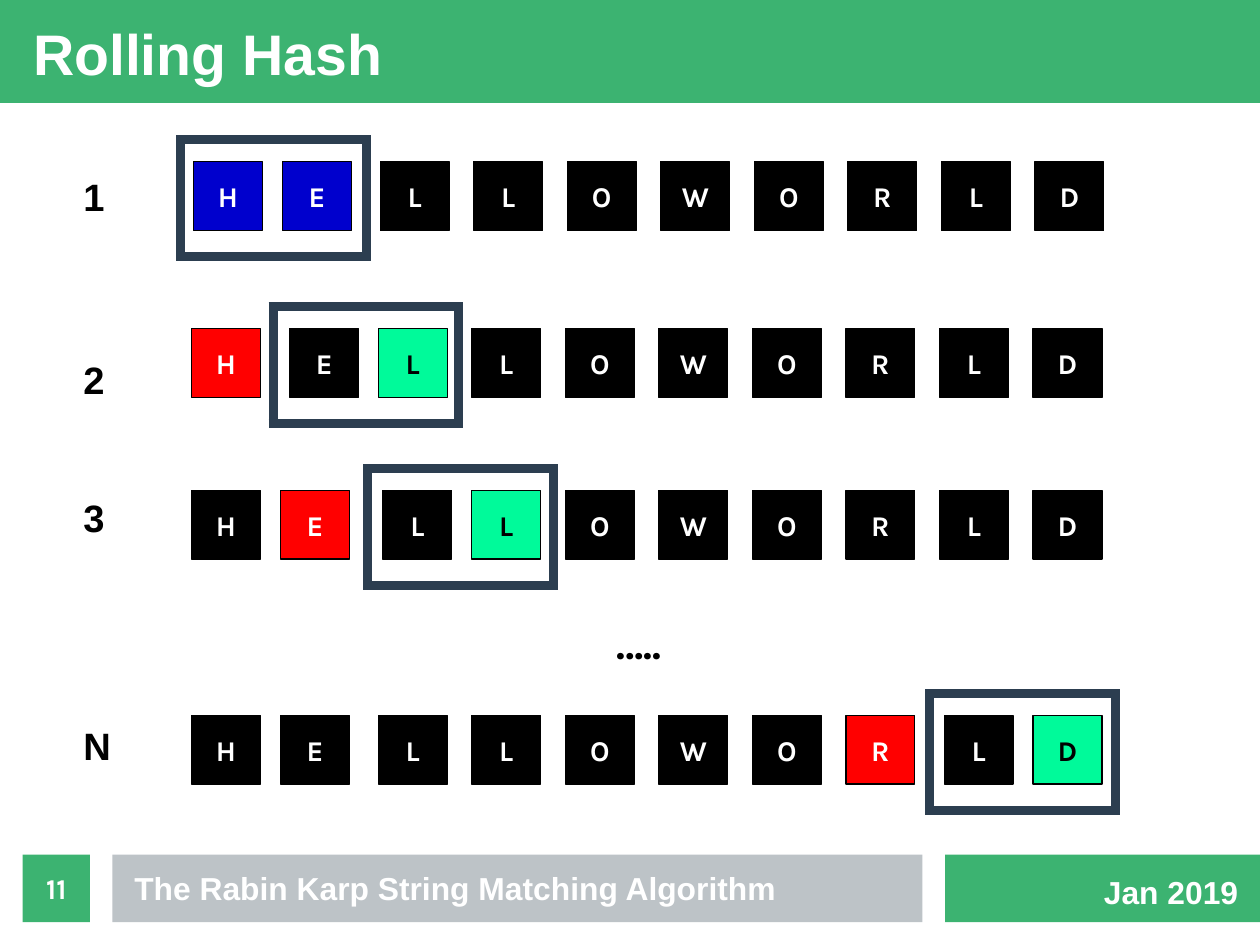
import pptx
import pptx.util
import pptx.dml.color
import pptx.enum.shapes
import pptx.enum.text
import pptx.oxml.ns
import lxml.etree

Pt = pptx.util.Pt
ALIGN = pptx.enum.text.PP_ALIGN
ANCHOR = pptx.enum.text.MSO_ANCHOR

# Content
TITLE = "Rolling Hash"
FOOTER = "The Rabin Karp String Matching Algorithm"
DATE = "Jan 2019"
PAGE = "11"
DOTS = "….."
WORD = "HELLOWORLD"
# Each step: coloured letters by index, nudged letters by index, window left edge
STEPS = [
    {"top": 102, "shift": 1.2, "colors": {0: "current", 1: "current"},
     "nudge": {}, "window": 111.2},
    {"top": 207, "shift": 0, "colors": {0: "dropped", 2: "added"},
     "nudge": {1: 5.8}, "window": 169.2},
    {"top": 308.8, "shift": 0, "colors": {1: "dropped", 3: "added"},
     "nudge": {2: 2.9}, "window": 228.8},
    {"top": 450.5, "shift": 0, "colors": {7: "dropped", 9: "added"},
     "nudge": {8: 2.9}, "window": 583},
]
# Row label and the space before it
LABELS = [("1", 0), ("2", 86.6), ("3", 58), ("N", 115)]

# Theme
THEME = {
    "green": "3CB371", "gray": "BDC3C7", "frame": "2C3E50",
    "white": "FFFFFF", "black": "000000",
    "current": "0000CD", "dropped": "FF0000", "added": "00FA9A",
    "heading": {"name": "Arial", "size": Pt(36), "bold": True},
    "footer": {"name": "Arial", "size": Pt(20), "bold": True},
    "label": {"name": "Arial", "size": Pt(24), "bold": True},
    "letter": {"name": "Karla", "size": Pt(18), "bold": True},
    "dots": {"name": "Karla", "size": Pt(26), "bold": True},
}

# Layout: the slide is 28 by 21 centimetres
SLIDE_WIDTH, SLIDE_HEIGHT = 793.7, 595.28
CELL = 43.4
FIRST_LEFTS = [120.6, 176.7]
GRID_LEFT, GRID_STEP = 238.3, 58.92
WINDOW_WIDTH, WINDOW_HEIGHT, WINDOW_RISE = 122.4, 73.7, 13.9
FRAME_WEIGHT = 5.67
FOOTER_TOP, FOOTER_HEIGHT = 538.4, 42.5


def color(name):
    return pptx.dml.color.RGBColor.from_string(THEME[name])


def set_attributes(target, values):
    for name, value in values.items():
        setattr(target, name, value)


def style_paragraph(paragraph, text, style, ink, alignment=ALIGN.LEFT):
    paragraph.text = text
    paragraph.alignment = alignment
    set_attributes(paragraph.font, THEME[style])
    paragraph.font.color.rgb = color(ink)


def set_frame(frame, anchor, wrap=True, insets=(7.2, 3.6)):
    side, edge = map(Pt, insets)
    set_attributes(frame, {
        "word_wrap": wrap, "vertical_anchor": anchor,
        "margin_left": side, "margin_right": side,
        "margin_top": edge, "margin_bottom": edge})


def add_box(slide, box, fill, line=None):
    shape = slide.shapes.add_shape(
        pptx.enum.shapes.MSO_SHAPE.RECTANGLE, *map(Pt, box))
    shape.shadow.inherit = False
    shape.fill.solid()
    shape.fill.fore_color.rgb = color(fill)
    if line:
        shape.line.color.rgb = color(line)
        shape.line.width = Pt(0)
    else:
        shape.line.fill.background()
    return shape


def add_text(slide, box, text, style, ink, alignment=ALIGN.LEFT):
    frame = slide.shapes.add_textbox(*map(Pt, box)).text_frame
    set_frame(frame, ANCHOR.TOP)
    style_paragraph(frame.paragraphs[0], text, style, ink, alignment)
    return frame


def add_edge(slide, ends):
    connector = slide.shapes.add_connector(
        pptx.enum.shapes.MSO_CONNECTOR.STRAIGHT, *map(Pt, ends))
    connector.line.color.rgb = color("frame")
    connector.line.width = Pt(FRAME_WEIGHT)
    lxml.etree.SubElement(connector.element.spPr, pptx.oxml.ns.qn("a:effectLst"))


def add_letters(slide, step):
    for index, letter in enumerate(WORD):
        if index < len(FIRST_LEFTS):
            left = FIRST_LEFTS[index]
        else:
            left = GRID_LEFT + (index - len(FIRST_LEFTS)) * GRID_STEP
        left += step["shift"] + step["nudge"].get(index, 0)
        fill = step["colors"].get(index, "black")
        shape = add_box(slide, (left, step["top"], CELL, CELL), fill, "black")
        set_frame(shape.text_frame, ANCHOR.MIDDLE, wrap=False)
        ink = "black" if fill == "added" else "white"
        style_paragraph(shape.text_frame.paragraphs[0], letter, "letter", ink,
                        ALIGN.CENTER)


def add_window(slide, step):
    left, top = step["window"], step["top"] - WINDOW_RISE
    right, bottom = left + WINDOW_WIDTH, top + WINDOW_HEIGHT
    half = FRAME_WEIGHT / 2
    for y in (top, bottom):
        add_edge(slide, (left, y, right, y))
    for x in (left + half, right - half):
        add_edge(slide, (x, top, x, bottom - half))


def main():
    presentation = pptx.Presentation()
    presentation.slide_width = Pt(SLIDE_WIDTH)
    presentation.slide_height = Pt(SLIDE_HEIGHT)
    slide = presentation.slides.add_slide(presentation.slide_layouts[5])

    # Title over its green band
    title = slide.shapes.title
    set_attributes(title, {"left": Pt(20.9), "top": Pt(11.5),
                           "width": Pt(771.8), "height": Pt(43.2)})
    set_frame(title.text_frame, ANCHOR.BOTTOM, insets=(0, 0))
    style_paragraph(title.text_frame.paragraphs[0], TITLE, "heading", "white")
    band = add_box(slide, (0, 0, SLIDE_WIDTH, 64.8), "green")
    title.element.addprevious(band.element)

    # Footer
    date_left = 595.3
    add_box(slide, (date_left, FOOTER_TOP, SLIDE_WIDTH - date_left, FOOTER_HEIGHT),
            "green")
    add_box(slide, (70.8, FOOTER_TOP, 510.2, FOOTER_HEIGHT), "gray")
    add_text(slide, (77.5, 544, 476.6, 30.2), FOOTER, "footer", "white")
    add_text(slide, (688.3, 546.2, 105.1, 31), DATE, "footer", "white")
    page = add_box(slide, (14.2, FOOTER_TOP, FOOTER_HEIGHT, FOOTER_HEIGHT), "green")
    set_frame(page.text_frame, ANCHOR.MIDDLE, insets=(0, 0))
    style_paragraph(page.text_frame.paragraphs[0], PAGE, "letter", "white",
                    ALIGN.CENTER)

    # Letter rows with the sliding window
    for step in STEPS:
        add_letters(slide, step)
        add_window(slide, step)
    add_text(slide, (370.1, 385.6, 64.8, 42.5), DOTS, "dots", "black", ALIGN.CENTER)

    # Row labels
    frame = add_text(slide, (45.4, 105.4, 137.5, 416.2), LABELS[0][0], "label",
                     "black")
    for text, gap in LABELS[1:]:
        paragraph = frame.add_paragraph()
        style_paragraph(paragraph, text, "label", "black")
        paragraph.space_before = Pt(gap)

    presentation.save("out.pptx")


if __name__ == "__main__":
    main()
